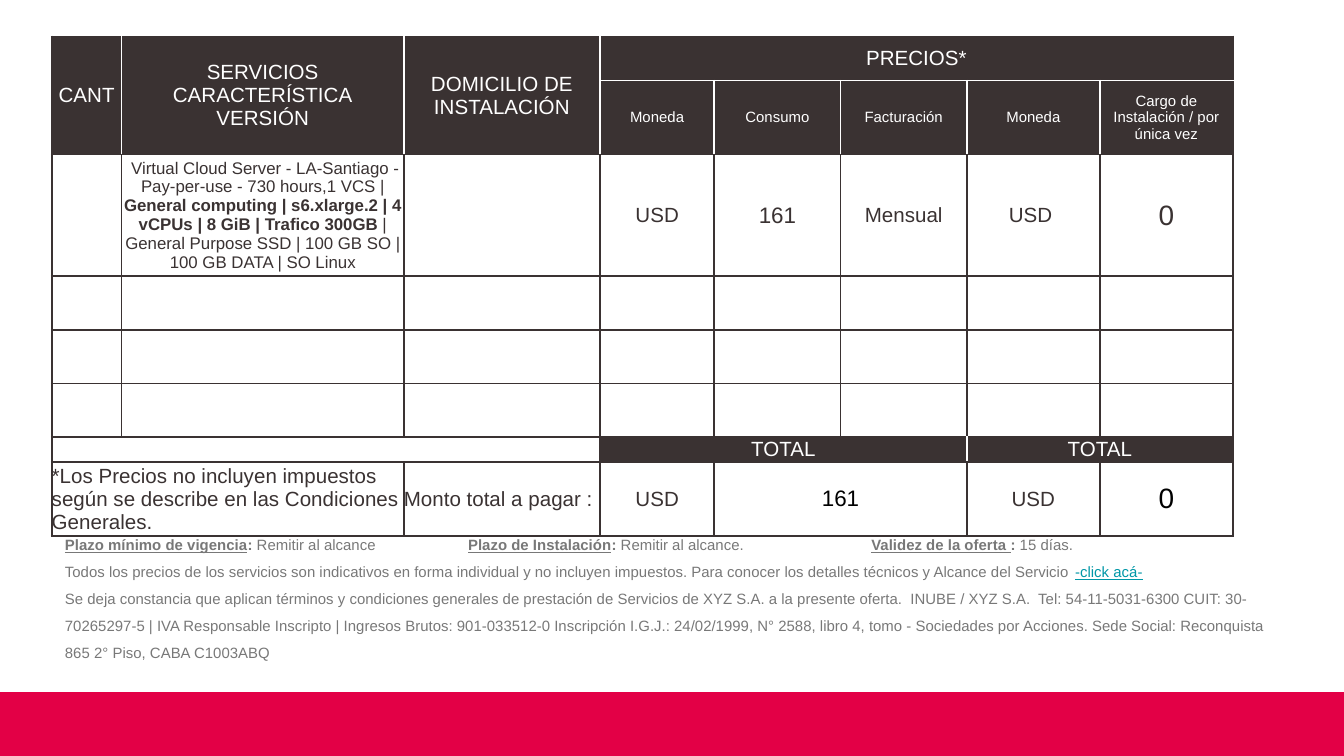
from itertools import product

from lxml.etree import SubElement
from pptx import Presentation
from pptx.dml.color import RGBColor
from pptx.enum.shapes import MSO_SHAPE
from pptx.enum.text import MSO_ANCHOR, PP_ALIGN
from pptx.oxml.ns import qn
from pptx.util import Inches, Pt

WIDE = 10
HIGH = WIDE * 9 / 16
DARK, WHITE, BLACK = "3A3232", "FFFFFF", "000000"
GREY, TEAL, RED = "787878", "0097A7", "E30046"
COLS = [0.52, 2.1, 1.46, 0.85, 0.94, 0.94, 0.99, 0.99]
ROWS = [0.33, 0.39, 0.83, 0.4, 0.4, 0.4, 0.17, 0.51]

# row, column, rows spanned, columns spanned, size, colour, paragraphs
CELLS = [
    (0, 0, 2, 1, 11, WHITE, ["CANT"]),
    (0, 1, 2, 1, 11, WHITE, ["SERVICIOS", "CARACTERÍSTICA", "VERSIÓN"]),
    (0, 2, 2, 1, 11, WHITE, ["DOMICILIO DE INSTALACIÓN"]),
    (0, 3, 1, 5, 11, WHITE, ["PRECIOS*"]),
    (1, 3, 1, 1, 8, WHITE, ["Moneda"]),
    (1, 4, 1, 1, 8, WHITE, ["Consumo"]),
    (1, 5, 1, 1, 8, WHITE, ["Facturación"]),
    (1, 6, 1, 1, 8, WHITE, ["Moneda"]),
    (1, 7, 1, 1, 8, WHITE, ["Cargo de Instalación / por única vez"]),
    (2, 1, 1, 1, 9, DARK, [[
        ("\u00a0Virtual Cloud Server - LA-Santiago - Pay-per-use - 730 hours,1 VCS | ", False),
        ("General computing | s6.xlarge.2 | 4 vCPUs | 8 GiB | Trafico 300GB", True),
        (" | General Purpose SSD | 100 GB SO | 100 GB DATA | SO Linux", False)]]),
    (2, 3, 1, 1, 11, DARK, ["USD"]),
    (2, 4, 1, 1, 12, DARK, ["161"]),
    (2, 5, 1, 1, 11, DARK, ["Mensual"]),
    (2, 6, 1, 1, 11, DARK, ["USD "]),
    (2, 7, 1, 1, 15, DARK, ["0"]),
    (6, 0, 1, 3, 8, DARK, []),
    (6, 3, 1, 3, 11, WHITE, ["TOTAL"]),
    (6, 6, 1, 2, 11, WHITE, ["TOTAL"]),
    (7, 0, 1, 2, 11, DARK, [
        "*Los Precios no incluyen impuestos según se describe en las Condiciones Generales."]),
    (7, 2, 1, 1, 11, DARK, ["Monto total a pagar :"]),
    (7, 3, 1, 1, 11, DARK, ["USD"]),
    (7, 4, 1, 2, 12, BLACK, ["161"]),
    (7, 6, 1, 1, 11, DARK, ["USD"]),
    (7, 7, 1, 1, 15, BLACK, ["0"]),
]
TERMS = [
    ("Plazo mínimo de vigencia", ": ", "Remitir al alcance \t"),
    ("Plazo de Instalación", ": ", "Remitir al alcance. \t"),
    ("Validez de la oferta ", ": ", "15 días."),
]
DETAIL = ("Todos los precios de los servicios son indicativos en forma individual y no "
          "incluyen impuestos. Para conocer los detalles técnicos y Alcance del Servicio ")
LEGAL = ("Se deja constancia que aplican términos y condiciones generales de prestación de "
         "Servicios de XYZ S.A. a la presente oferta.  INUBE / XYZ S.A.  Tel: 54-11-5031-6300 "
         "CUIT: 30-70265297-5 | IVA Responsable Inscripto | Ingresos Brutos: 901-033512-0 "
         "Inscripción I.G.J.: 24/02/1999, N° 2588, libro 4, tomo - Sociedades por Acciones. "
         "Sede Social: Reconquista 865 2° Piso, CABA C1003ABQ")


def tint(code):
    return RGBColor.from_string(code)


def add_run(para, text, size, color, bold=False, under=False):
    run = para.add_run()
    run.text = text
    font = run.font
    font.name, font.size = "Arial", Pt(size)
    font.bold, font.underline = bold, under
    font.color.rgb = tint(color)


def shaded(row, col):
    return row < 2 or (row == 6 and col > 2)


def set_edges(cell, row, col, span):
    """Rule the outer edges of a span: white between shaded cells, else dark."""
    top, left, tall, broad = span
    sides = [("L", row, col - 1), ("R", row, col + 1),
             ("T", row - 1, col), ("B", row + 1, col)]
    props = cell._tc.get_or_add_tcPr()
    for side, r, c in sides:
        if top <= r < top + tall and left <= c < left + broad:
            if (row, col) != (top, left):
                continue
            # the first cell of a span carries the edges of the whole span
            r = top + tall if side == "B" else r
            c = left + broad if side == "R" else c
        inside = 0 <= r < len(ROWS) and 0 <= c < len(COLS)
        white = inside and shaded(row, col) and shaded(r, c)
        line = SubElement(props, qn(f"a:ln{side}"), w=str(Pt(1)))
        fill = SubElement(line, qn("a:solidFill"))
        SubElement(fill, qn("a:srgbClr"), val=WHITE if white else DARK)


def style_cell(cell, row, col, span):
    cell.margin_left = cell.margin_right = cell.margin_top = cell.margin_bottom = 0
    cell.vertical_anchor = MSO_ANCHOR.MIDDLE
    set_edges(cell, row, col, span)
    if shaded(row, col):
        cell.fill.solid()
        cell.fill.fore_color.rgb = tint(DARK)
    else:
        cell.fill.background()


def fill_cell(cell, size, color, paras, align):
    frame = cell.text_frame
    for i, runs in enumerate(paras):
        para = frame.add_paragraph() if i else frame.paragraphs[0]
        para.alignment = align
        for text, bold in [(runs, False)] if isinstance(runs, str) else runs:
            add_run(para, text, size, color, bold)


def price_table(slide, left, top, height):
    shape = slide.shapes.add_table(
        len(ROWS), len(COLS), Inches(left), Inches(top),
        Inches(sum(COLS)), Inches(height))
    table = shape.table
    table.first_row = table.horz_banding = False
    for col, size in zip(table.columns, COLS):
        col.width = Inches(size)
    for row, size in zip(table.rows, ROWS):
        row.height = Inches(size)
    # the text makes some rows taller than their set height
    shape.height = Inches(height)

    spans = {}
    for row, col, tall, broad, size, color, paras in CELLS:
        cell = table.cell(row, col)
        if tall * broad > 1:
            cell.merge(table.cell(row + tall - 1, col + broad - 1))
        for r, c in product(range(row, row + tall), range(col, col + broad)):
            spans[r, c] = (row, col, tall, broad)
        note = row == 7 and col < 3
        fill_cell(cell, size, color, paras, PP_ALIGN.LEFT if note else PP_ALIGN.CENTER)

    for row, col in product(range(len(ROWS)), range(len(COLS))):
        cell = table.cell(row, col)
        style_cell(cell, row, col, spans.get((row, col), (row, col, 1, 1)))
        para = cell.text_frame.paragraphs[0]
        if not para.runs:
            # keeps empty cells from stretching the low rows
            SubElement(para._p, qn("a:endParaRPr"), sz="800")


def terms_box(slide, left, top, width, height):
    frame = slide.shapes.add_textbox(
        Inches(left), Inches(top), Inches(width), Inches(height)).text_frame
    frame.word_wrap = True
    frame.vertical_anchor = MSO_ANCHOR.MIDDLE
    first, rest = frame.paragraphs[0], frame.add_paragraph()
    first.line_spacing = rest.line_spacing = 1.5
    tabs = SubElement(first._p.get_or_add_pPr(), qn("a:tabLst"))
    for stop in (3, 6):
        SubElement(tabs, qn("a:tab"), pos=str(Inches(stop)), algn="l")
    for label, colon, value in TERMS:
        add_run(first, label, 8, GREY, True, True)
        add_run(first, colon, 8, GREY, True)
        add_run(first, value, 8, GREY)
    add_run(rest, DETAIL, 8, GREY)
    add_run(rest, "-click acá-", 8, TEAL, under=True)
    rest.add_line_break()
    add_run(rest, LEGAL, 8, GREY)


def foot_band(slide, top):
    band = slide.shapes.add_shape(
        MSO_SHAPE.RECTANGLE, 0, Inches(top), Inches(WIDE), Inches(HIGH - top))
    band.shadow.inherit = False
    band.fill.solid()
    band.fill.fore_color.rgb = tint(RED)
    band.line.fill.background()


def main():
    deck = Presentation()
    deck.slide_width, deck.slide_height = Inches(WIDE), Inches(HIGH)
    slide = deck.slides.add_slide(deck.slide_layouts[6])
    edge = 0.0385 * WIDE
    foot_band(slide, 5.15)
    terms_box(slide, edge, 3.83, 9.24, 1.18)
    price_table(slide, edge, 0.27, 3.56)
    deck.save("out.pptx")


if __name__ == "__main__":
    main()
